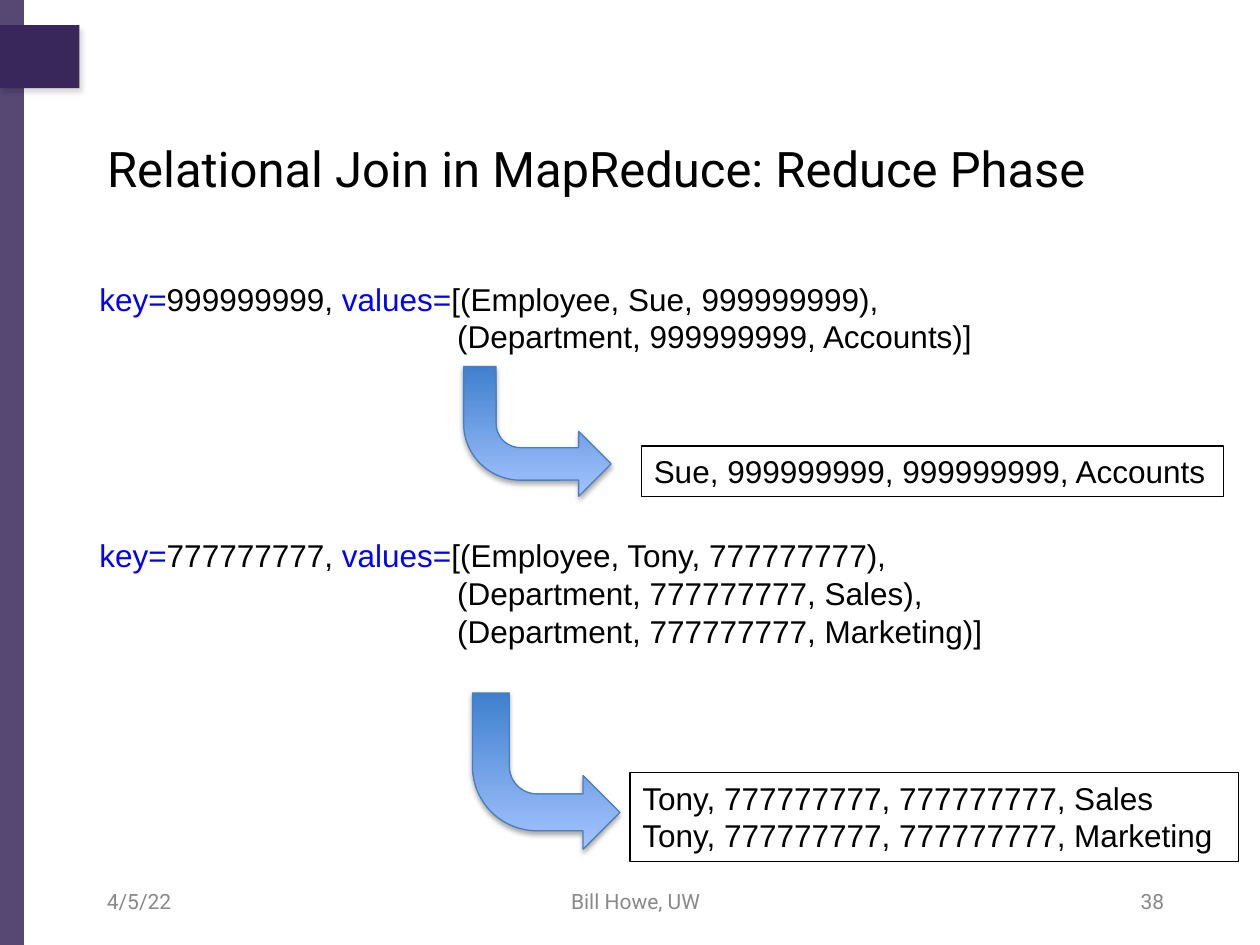
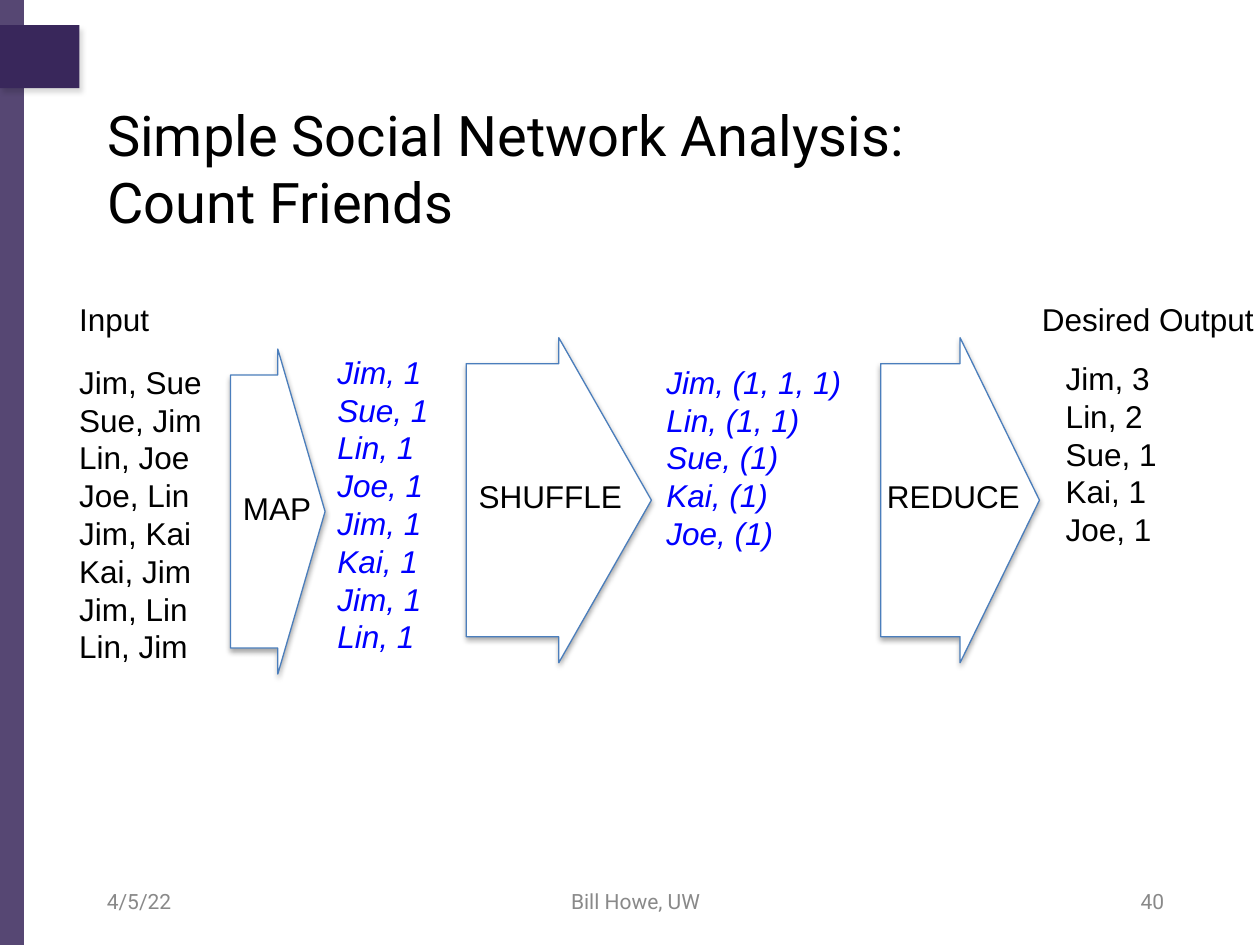
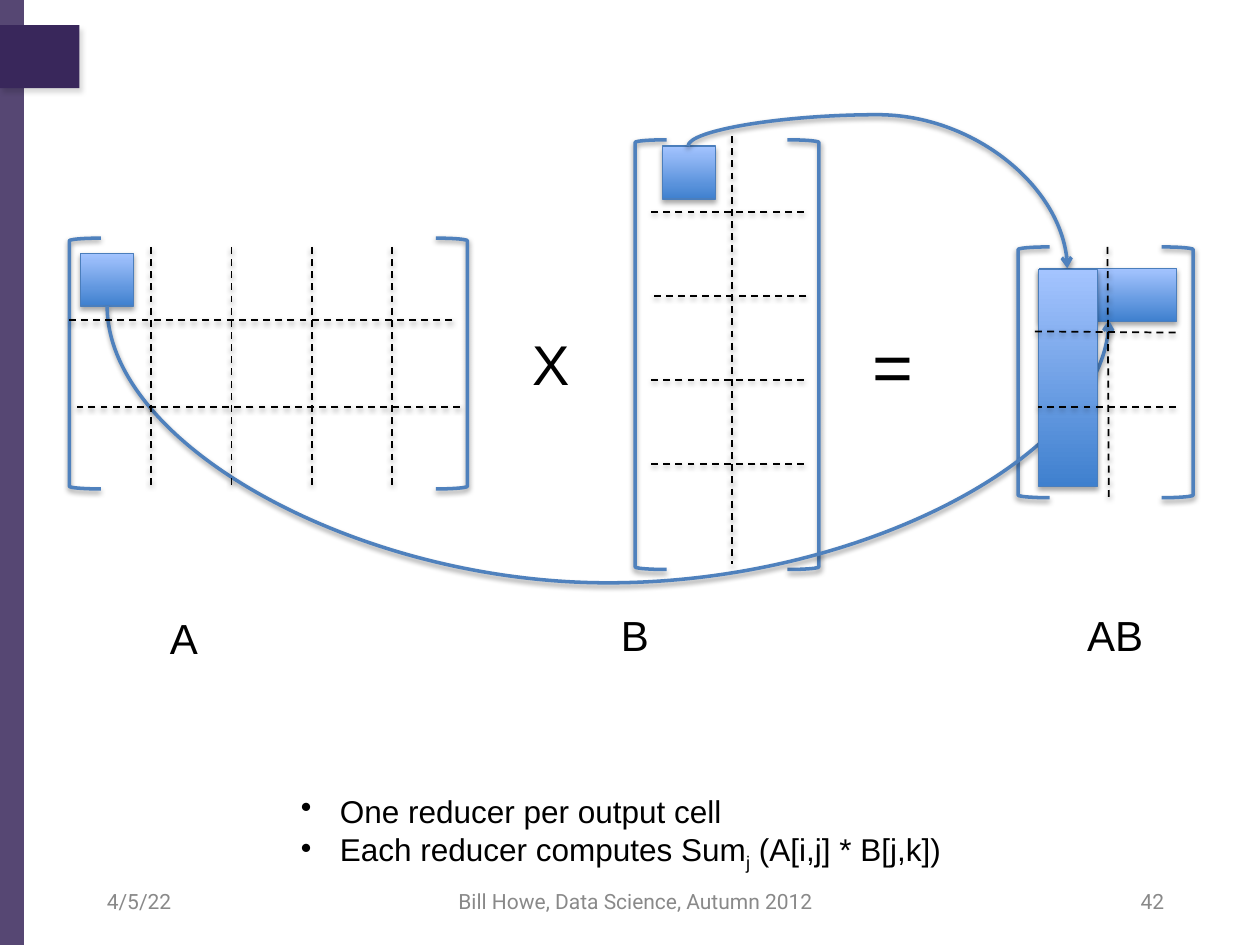
from dataclasses import dataclass

from lxml.etree import SubElement
from pptx import Presentation
from pptx.dml.color import RGBColor
from pptx.enum.dml import MSO_LINE_DASH_STYLE as Dash
from pptx.enum.shapes import MSO_CONNECTOR as Connector
from pptx.enum.shapes import MSO_SHAPE as Shape
from pptx.enum.text import MSO_ANCHOR as Anchor
from pptx.enum.text import MSO_AUTO_SIZE as AutoSize
from pptx.enum.text import PP_ALIGN as Align
from pptx.oxml.ns import qn
from pptx.util import Inches, Pt


@dataclass(frozen=True)
class Theme:
    purple: str = "39275B"
    black: str = "000000"
    white: str = "FFFFFF"
    blue: str = "0000FF"
    grey: str = "898989"
    outline: str = "4B7EBC"
    stroke: str = "4F81BD"
    gradient: tuple = ("3F80CE", "A4C4FF")
    heading_font: str = "Roboto"
    body_font: str = "Arial"
    footer_size: int = 12
    body_size: int = 18
    label_size: int = 24
    title_size: int = 32
    equals_size: int = 40
    # Shadows: opacity %, blur pt, distance pt, direction in degrees
    band_shadow: tuple = (15, 3, 3, 60)
    shape_shadow: tuple = (35, 3.1, 1.8, 90)
    line_shadow: tuple = (38, 3.1, 1.6, 90)


theme = Theme()


def write_text(shape, paragraphs, size=theme.body_size, font=theme.body_font,
               color=theme.black, italic=False, align=Align.LEFT,
               anchor=Anchor.TOP, bullet=False):
    """Fill a shape; a paragraph is a string or a list of (text, color) runs."""
    frame = shape.text_frame
    frame.word_wrap = True
    frame.auto_size = AutoSize.NONE
    frame.vertical_anchor = anchor
    for index, content in enumerate(paragraphs):
        paragraph = frame.paragraphs[0] if index == 0 else frame.add_paragraph()
        paragraph.alignment = align
        if isinstance(content, str):
            paragraph.text = content
            colors = [color] * len(paragraph.runs)
        else:
            for text, _ in content:
                paragraph.add_run().text = text
            colors = [run_color for _, run_color in content]
        for run, run_color in zip(paragraph.runs, colors):
            run.font.size = Pt(size)
            run.font.name = font
            run.font.italic = italic
            run.font.color.rgb = RGBColor.from_string(run_color)
        if bullet:
            properties = paragraph._p.get_or_add_pPr()
            properties.set("marL", str(Inches(0.31)))
            properties.set("indent", str(Inches(-0.31)))
            SubElement(properties, qn("a:buChar"), char="•")
    return frame


def style_shape(shape, fill=None, line=None, width=0.75, dash=None,
                shadow=None, flip=None):
    """Format a shape or connector; a pair of colours as fill is a gradient."""
    if isinstance(fill, tuple):
        shape.fill.gradient()
        shape.fill.gradient_angle = 90
        for stop, color in zip(shape.fill.gradient_stops, fill):
            stop.color.rgb = RGBColor.from_string(color)
    elif fill:
        shape.fill.solid()
        shape.fill.fore_color.rgb = RGBColor.from_string(fill)
    elif hasattr(shape, "fill"):
        shape.fill.background()
    if line:
        shape.line.color.rgb = RGBColor.from_string(line)
        shape.line.width = Pt(width)
        shape.line.dash_style = dash
    else:
        shape.line.fill.background()
    properties = shape.element.spPr
    if flip:
        properties.find(qn("a:xfrm")).set(flip, "1")
    effects = SubElement(properties, qn("a:effectLst"))
    if shadow:
        opacity, blur, distance, direction = shadow
        outer = SubElement(effects, qn("a:outerShdw"), blurRad=str(Pt(blur)),
                           dist=str(Pt(distance)), dir=str(direction * 60000),
                           rotWithShape="0")
        color = SubElement(outer, qn("a:srgbClr"), val=theme.black)
        SubElement(color, qn("a:alpha"), val=str(opacity * 1000))


presentation = Presentation()
presentation.slide_width = Inches(10)
presentation.slide_height = Inches(7.5)

# Bands, title and footer of every slide
slides = []
for title, title_size, credit, number in [
    ("Relational Join in MapReduce: Reduce Phase", 28, "Bill Howe, UW", "38"),
    ("Simple Social Network Analysis:\vCount Friends", theme.title_size,
     "Bill Howe, UW", "40"),
    (None, None, "Bill Howe, Data Science, Autumn 2012", "42"),
]:
    slide = presentation.slides.add_slide(presentation.slide_layouts[5 if title else 6])
    slides.append(slide)
    side_band = slide.shapes.add_shape(Shape.RECTANGLE, 0, 0, Inches(0.19), Inches(7.5))
    style_shape(side_band, fill=theme.purple)
    band_color = side_band.element.spPr.find(qn("a:solidFill"))[0]
    SubElement(band_color, qn("a:alpha"), val="85000")
    tab = slide.shapes.add_shape(Shape.RECTANGLE, 0, Inches(0.2), Inches(0.63), Inches(0.5))
    style_shape(tab, fill=theme.purple, shadow=theme.band_shadow)
    if title:
        heading = slide.shapes.title
        heading.left, heading.top = Inches(0.75), Inches(0.83)
        heading.width, heading.height = Inches(8.59), Inches(1)
        write_text(heading, [title], size=title_size, font=theme.heading_font,
                   anchor=Anchor.MIDDLE)
    for text, left, width, align in [("4/5/22", 0.75, 2.33, Align.LEFT),
                                     (credit, 3.46, 3.17, Align.CENTER),
                                     (number, 7.01, 2.33, Align.RIGHT)]:
        footer = slide.shapes.add_textbox(Inches(left), Inches(6.95), Inches(width), Inches(0.4))
        write_text(footer, [text], size=theme.footer_size, font=theme.heading_font,
                   color=theme.grey, align=align, anchor=Anchor.MIDDLE)

join_slide, friends_slide, matrix_slide = slides

# Slide 1: grouped keys and values
groups = [
    ("999999999", ["(Employee, Sue, 999999999),",
                   "(Department, 999999999, Accounts)]"]),
    ("777777777", ["(Employee, Tony, 777777777),",
                   "(Department, 777777777, Sales),",
                   "(Department, 777777777, Marketing)]"]),
]
lines = []
for key, (first, *others) in groups:
    lines.append([("key=", theme.blue), (f"{key}, ", theme.black),
                  ("values=", theme.blue), (f"[{first}", theme.black)])
    lines += others
pairs_box = join_slide.shapes.add_textbox(Inches(0.69), Inches(2.17), Inches(7.34), Inches(3.13))
pairs_frame = write_text(pairs_box, lines)
for paragraph, line in zip(pairs_frame.paragraphs, lines):
    if isinstance(line, str):
        paragraph._p.get_or_add_pPr().set("marL", str(Inches(2.84)))
pairs_frame.paragraphs[len(groups[0][1])].space_before = Pt(103.5)

# Slide 1: arrows to the joined tuples
for left, top, height in [(3.68, 2.91, 1.03), (3.75, 5.5, 1.24)]:
    arrow = join_slide.shapes.add_shape(Shape.BENT_ARROW, Inches(left), Inches(top),
                                        Inches(1.17), Inches(height))
    style_shape(arrow, fill=theme.gradient, line=theme.outline,
                shadow=theme.shape_shadow, flip="flipV")
for left, top, width, height, tuples in [
    (5.09, 3.54, 4.62, 0.4, ["Sue, 999999999, 999999999, Accounts"]),
    (5, 6.13, 4.83, 0.71, ["Tony, 777777777, 777777777, Sales",
                           "Tony, 777777777, 777777777, Marketing"]),
]:
    result = join_slide.shapes.add_textbox(Inches(left), Inches(top), Inches(width), Inches(height))
    style_shape(result, line=theme.black)
    write_text(result, tuples)

# Slide 2: phase arrows with their labels
for phase, left, top, width, label_left, label_width in [
    ("MAP", 1.83, 2.77, 0.75, 1.83, 0.92),
    ("SHUFFLE", 3.7, 2.68, 1.47, 3.7, 1.47),
    ("REDUCE", 6.99, 2.68, 1.26, 6.94, 1.29),
]:
    arrow = friends_slide.shapes.add_shape(Shape.RIGHT_ARROW, Inches(left), Inches(top),
                                           Inches(width), Inches(2.58))
    arrow.adjustments[0], arrow.adjustments[1] = 0.84, 0.5
    style_shape(arrow, fill=theme.white, line=theme.outline, shadow=theme.shape_shadow)
    label = friends_slide.shapes.add_textbox(Inches(label_left), Inches(top + 1.06),
                                             Inches(label_width), Inches(0.4))
    write_text(label, [phase])

# Slide 2: data before and after each phase
for left, top, width, height, emphasized, records in [
    (0.53, 2.33, 1.47, 0.42, False, ["Input"]),
    (0.53, 2.83, 1.31, 2.52, False,
     ["Jim, Sue", "Sue, Jim", "Lin, Joe", "Joe, Lin",
      "Jim, Kai", "Kai, Jim", "Jim, Lin", "Lin, Jim"]),
    (2.58, 2.75, 1.12, 2.52, True,
     ["Jim, 1", "Sue, 1", "Lin, 1", "Joe, 1", "Jim, 1", "Kai, 1", "Jim, 1", "Lin, 1"]),
    (5.19, 2.83, 1.83, 1.62, True,
     ["Jim, (1, 1, 1)", "Lin, (1, 1)", "Sue, (1)", "Kai, (1)", "Joe, (1)"]),
    (8.17, 2.33, 2.42, 0.4, False, ["Desired Output"]),
    (8.36, 2.8, 2.22, 1.62, False, ["Jim, 3", "Lin, 2", "Sue, 1", "Kai, 1", "Joe, 1"]),
]:
    column = friends_slide.shapes.add_textbox(Inches(left), Inches(top),
                                              Inches(width), Inches(height))
    write_text(column, records, italic=emphasized,
               color=theme.blue if emphasized else theme.black)

# Slide 3: brackets around the matrices A, B and AB
for left, right, top, height in [(0.55, 3.46, 1.89, 1.99),
                                 (5.04, 6.25, 1.11, 3.41),
                                 (8.08, 9.22, 1.96, 1.99)]:
    for bracket_left, flip in [(left, None), (right, "flipH")]:
        bracket = matrix_slide.shapes.add_shape(Shape.LEFT_BRACKET, Inches(bracket_left),
                                                Inches(top), Inches(0.25), Inches(height))
        style_shape(bracket, line=theme.stroke, width=2, shadow=theme.line_shadow, flip=flip)

# Slide 3: matrix names and operators
for text, left, top, width, height, size in [
    ("A", 1.25, 4.81, 0.8, 0.5, theme.label_size),
    ("B", 4.83, 4.79, 0.8, 0.5, theme.label_size),
    ("AB", 8.53, 4.79, 0.8, 0.5, theme.label_size),
    ("X", 4.13, 2.57, 0.7, 0.64, theme.title_size),
    ("=", 6.83, 2.51, 0.7, 0.77, theme.equals_size),
]:
    label = matrix_slide.shapes.add_textbox(Inches(left), Inches(top), Inches(width), Inches(height))
    write_text(label, [text], size=size)

# Slide 3: cells, each followed by the curve that leads to its output;
# a curve is a box turned by 270 degrees and a bend in thousandths of a percent
for cells, curve in [
    ([(8.25, 2.13, 1.09, 0.42), (0.64, 2.01, 0.42, 0.42)],
     (4.77, -1.49, 0.11, 7.95, 1999200)),
    ([(5.26, 1.16, 0.42, 0.42)], (6.48, 0.14, 0.97, 3.01, -25700)),
    ([(8.24, 2.14, 0.47, 1.72)], None),
]:
    for left, top, width, height in cells:
        cell = matrix_slide.shapes.add_shape(Shape.RECTANGLE, Inches(left), Inches(top),
                                             Inches(width), Inches(height))
        style_shape(cell, fill=theme.gradient, line=theme.outline, shadow=theme.shape_shadow)
    if curve:
        left, top, width, height, bend = curve
        connector = matrix_slide.shapes.add_connector(
            Connector.CURVE, Inches(left), Inches(top), Inches(left + width), Inches(top + height))
        style_shape(connector, line=theme.stroke, width=2, shadow=theme.line_shadow, flip="flipH")
        properties = connector.element.spPr
        properties.find(qn("a:xfrm")).set("rot", str(270 * 60000))
        SubElement(properties.find(qn("a:ln")), qn("a:tailEnd"), type="arrow")
        adjustments = properties.find(qn("a:prstGeom")).find(qn("a:avLst"))
        SubElement(adjustments, qn("a:gd"), name="adj1", fmla=f"val {bend}")

# Slide 3: dashed grid lines
grid_lines = [(5.81, 1.08, 5.81, 4.48), (8.79, 1.96, 8.8, 3.95),
              (3.59, 2.54, 0.55, 2.54), (3.65, 3.23, 0.61, 3.23),
              (9.33, 2.64, 8.18, 2.63), (9.33, 3.23, 8.24, 3.23)]
for column in range(4):
    x = 1.2 + 0.637 * column
    grid_lines.append((x, 1.96, x, 3.88))
for row in range(4):
    y = 1.68 + 0.667 * row
    shift = 0.02 if row == 1 else 0
    grid_lines.append((6.38 + shift, y, 5.17 + shift, y))
for ends in grid_lines:
    connector = matrix_slide.shapes.add_connector(Connector.STRAIGHT, *map(Inches, ends))
    style_shape(connector, line=theme.black, width=1, dash=Dash.DASH, shadow=theme.line_shadow)

# Slide 3: conclusions
notes_box = matrix_slide.shapes.add_textbox(Inches(2.29), Inches(6.24), Inches(5.63), Inches(0.71))
notes_frame = write_text(notes_box, [
    "One reducer per output cell",
    [(text, theme.black) for text in ("Each reducer computes Sum", "j", " (A[i,j] * B[j,k])")],
], bullet=True)
notes_frame.paragraphs[1].runs[1].font._element.set("baseline", "-25000")

presentation.save("out.pptx")
